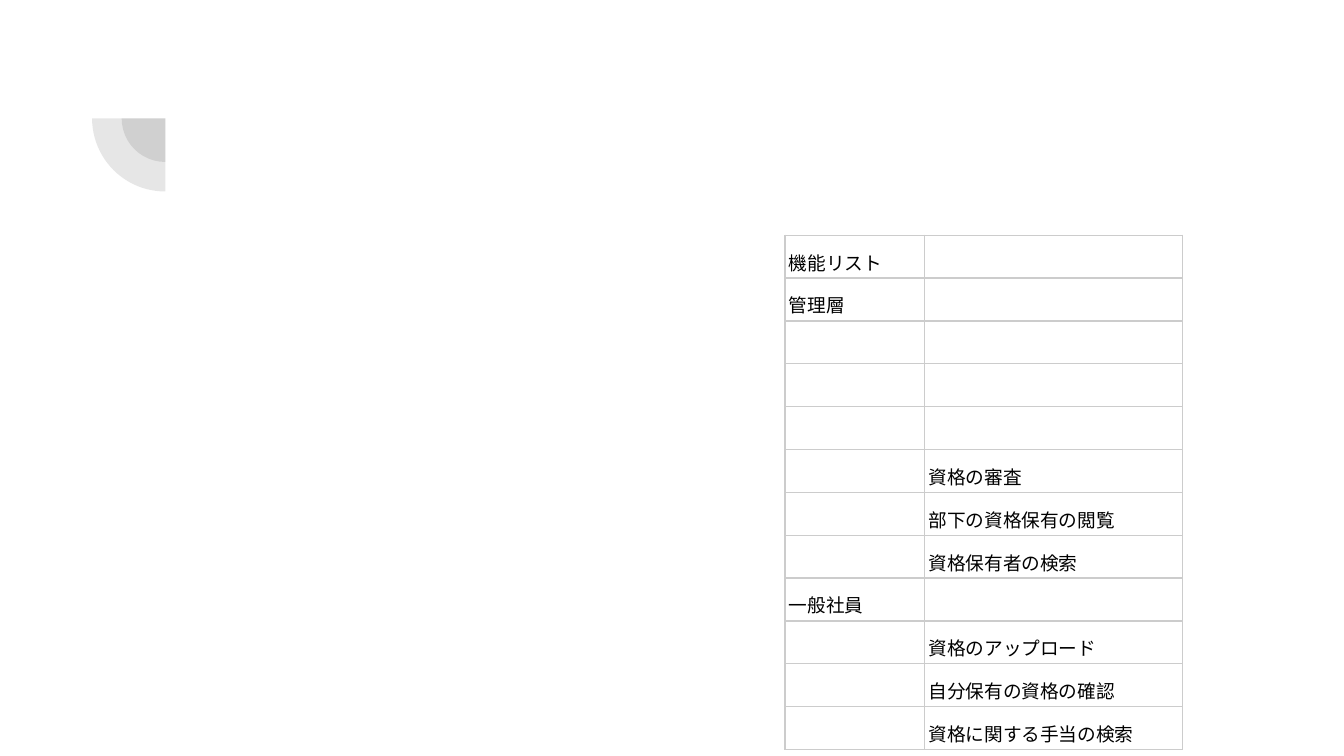
from lxml.etree import SubElement
from pptx import Presentation
from pptx.dml.color import RGBColor
from pptx.enum.shapes import MSO_SHAPE
from pptx.enum.text import MSO_ANCHOR
from pptx.oxml.ns import qn
from pptx.util import Inches, Pt

WHITE = RGBColor(0xFF, 0xFF, 0xFF)
BLACK = RGBColor(0x00, 0x00, 0x00)
GREY = RGBColor(0x42, 0x42, 0x42)
BORDER = RGBColor(0xCC, 0xCC, 0xCC)
FONT = "Arial"
TEXT_SIZE, EMPTY_SIZE = 10, 14

# Content: role, function
ROWS = [
    ("機能リスト", ""),
    ("管理層", ""),
    ("", ""),
    ("", ""),
    ("", ""),
    ("", "資格の審査"),
    ("", "部下の資格保有の閲覧"),
    ("", "資格保有者の検索"),
    ("一般社員", ""),
    ("", "資格のアップロード"),
    ("", "自分保有の資格の確認"),
    ("", "資格に関する手当の検索"),
]
FILLED_TEXT = "管理層"
COLUMN_WIDTHS = (1.04, 1.92)
ROW_HEIGHT = 0.23  # least height; the empty cells make the rows taller
TABLE_BOX = (5.84, 1.75, 3.28, 3.28)
PIE_CENTER = (1.23, 0.88)
PIE_DIAMETERS = (0.65, 1.09)


def add_quarter(page, diameter):
    left, top = (Inches(center - diameter / 2) for center in PIE_CENTER)
    pie = page.shapes.add_shape(
        MSO_SHAPE.PIE, left, top, Inches(diameter), Inches(diameter))
    pie.adjustments[0], pie.adjustments[1] = 107.93, 162
    pie.rotation = 270
    pie.shadow.inherit = False
    pie.line.fill.background()
    pie.fill.solid()
    pie.fill.fore_color.rgb = GREY
    color = pie.fill._xPr.find(qn("a:solidFill"))[0]
    SubElement(color, qn("a:alpha"), val="13000")


def add_borders(cell):
    properties = cell._tc.get_or_add_tcPr()
    for index, side in enumerate(("lnL", "lnR", "lnT", "lnB")):
        line = SubElement(properties, qn(f"a:{side}"), w=str(Pt(0.75)))
        fill = SubElement(line, qn("a:solidFill"))
        SubElement(fill, qn("a:srgbClr"), val=str(BORDER))
        properties.insert(index, line)  # borders come before the fill


def fill_cell(cell, text):
    if text == FILLED_TEXT:
        cell.fill.solid()
        cell.fill.fore_color.rgb = WHITE
    else:
        cell.fill.background()
    add_borders(cell)
    para = cell.text_frame.paragraphs[0]
    if not text:
        end = SubElement(para._p, qn("a:endParaRPr"), sz=str(EMPTY_SIZE * 100))
        SubElement(end, qn("a:latin"), typeface=FONT)
        return
    cell.vertical_anchor = MSO_ANCHOR.BOTTOM
    cell.margin_left = cell.margin_right = Inches(0.03)
    cell.margin_top = cell.margin_bottom = Inches(0.02)
    para.line_spacing = 1.15
    span = para.add_run()
    span.text = text
    span.font.name = FONT
    span.font.size = Pt(TEXT_SIZE)
    span.font.color.rgb = BLACK


def add_function_table(page):
    left, top, width, height = (Inches(length) for length in TABLE_BOX)
    frame = page.shapes.add_table(
        len(ROWS), len(COLUMN_WIDTHS), left, top, width, height)
    table = frame.table
    table.first_row = table.horz_banding = False
    for column, column_width in zip(table.columns, COLUMN_WIDTHS):
        column.width = Inches(column_width)
    for row, texts in zip(table.rows, ROWS):
        row.height = Inches(ROW_HEIGHT)
        for cell, text in zip(row.cells, texts):
            fill_cell(cell, text)
    frame.width, frame.height = width, height


def main():
    deck = Presentation()
    deck.slide_width = Inches(10)
    deck.slide_height = deck.slide_width * 9 // 16
    page = deck.slides.add_slide(deck.slide_layouts[6])
    # Corner ornament
    for diameter in PIE_DIAMETERS:
        add_quarter(page, diameter)
    # Function list
    add_function_table(page)
    deck.save("out.pptx")


if __name__ == "__main__":
    main()
